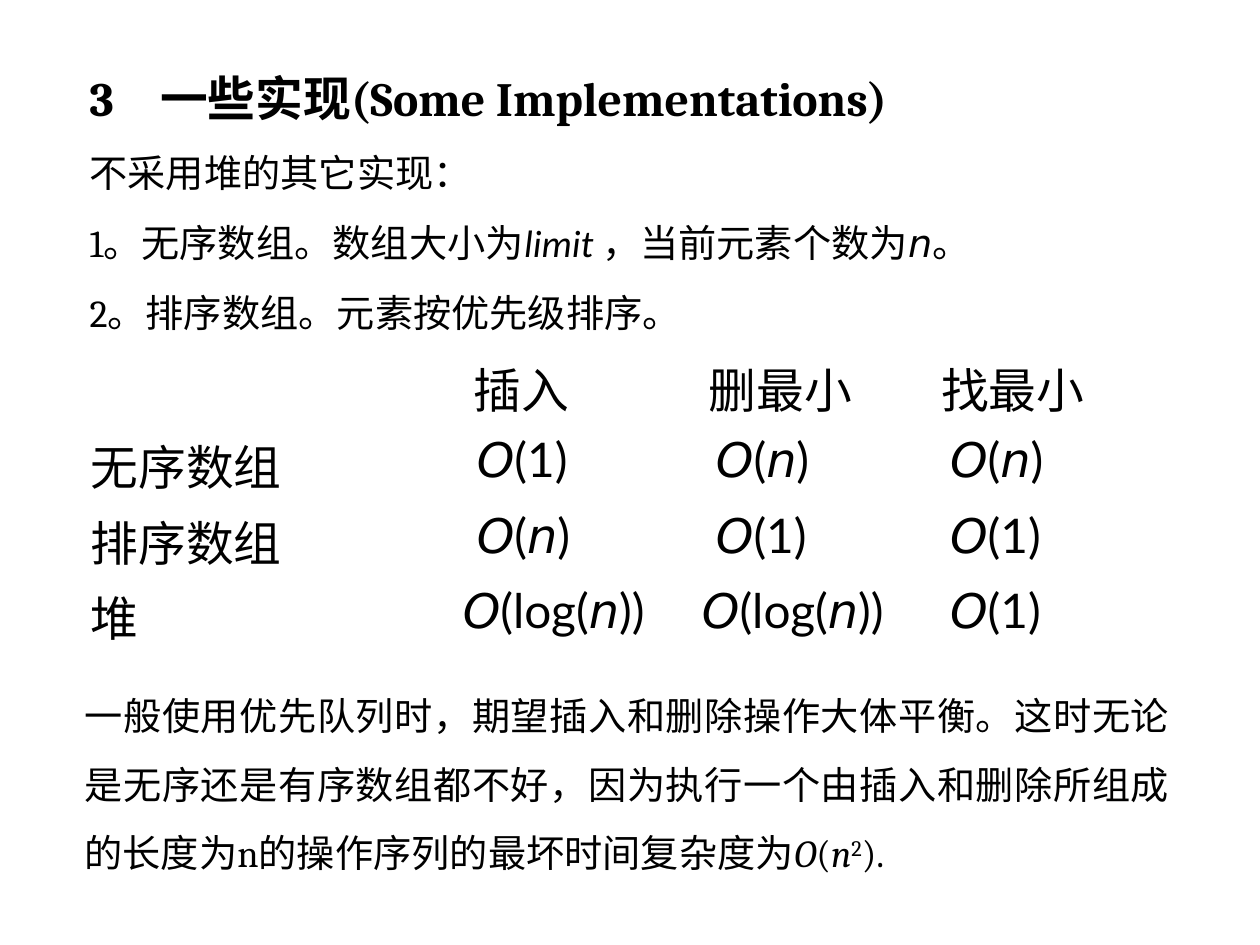
from itertools import groupby

from pptx import Presentation
from pptx.dml.color import RGBColor
from pptx.enum.text import MSO_ANCHOR, MSO_AUTO_SIZE, PP_ALIGN
from pptx.util import Inches, Pt

JUSTIFY, LEFT = PP_ALIGN.JUSTIFY, PP_ALIGN.LEFT
TOP = MSO_ANCHOR.TOP
FIT_SHAPE, NO_FIT = MSO_AUTO_SIZE.SHAPE_TO_FIT_TEXT, MSO_AUTO_SIZE.NONE
SLIDE_SIZE = Inches(14.66), Inches(11)
PX = 10645  # EMU per px
COLORS = {"text": "000000"}
SERIF, SANS, SYMBOL, NUMERAL = "Cambria", "Calibri", "DejaVu Sans", "Lato"

# Run attributes by style: raised text, and a widened gap after the number
STYLES = {"sup": ("baseline", "30000"), "wide": ("spc", "3000")}

# Content: runs are (text, font, style), style "i" italic or a key of STYLES
TITLE = [("3", SERIF, ""), (" ", SERIF, "wide"),
         ("一些实现(Some Implementations)", SERIF, "")]
INTRO = [
    [("不采用堆的其它实现：", SERIF, "")],
    [("1。无序数组。数组大小为", SERIF, ""), ("limit ", SANS, "i"),
     ("，当前元素个数为", SERIF, ""), ("n", SYMBOL, "i"), ("。", SERIF, "")],
    [("2。排序数组。元素按优先级排序。", SERIF, "")],
]
HEADERS = ["", "插入", "删最小", "找最小"]
COSTS = [
    ["无序数组", "O(1)", "O(n)", "O(n)"],
    ["排序数组", "O(n)", "O(1)", "O(1)"],
    ["堆", "O(log(n))", "O(log(n))", "O(1)"],
]
CONCLUSION = [
    ("一般使用优先队列时，期望插入和删除操作大体平衡。这时无论是无序还是有序数组都不好，"
     "因为执行一个由插入和删除所组成的长度为n的操作序列的最坏时间复杂度为", SERIF, ""),
    ("O", SERIF, "i"), ("(", SERIF, ""), ("n", SERIF, "i"),
    ("2", SERIF, "sup"), (").", SERIF, ""),
]

# Layout in px
TITLE_BOX = (79, 64, 1131, 65)
INTRO_BOX = (79, 144, 1131, 197)
TABLE_BOX = (79, 343, 1045, 309)
CONCLUSION_BOX = (76, 665, 1102, 215)
COLUMN_WIDTHS = [369, 239, 239, 198]
ROW_HEIGHTS = [79, 76, 75, 79]
HEADER_INDENTS = [3, 17, 13, 6]
COST_INDENTS = [3, 20, 20, 15]
LOG_INDENT = 6
TEXT_INDENT = 2
HEADER_MARGIN, COST_MARGIN = 10, 8


def emu(box):
    return [value * PX for value in box]


def formula_runs(text):
    """Split a cost such as O(n) into italic symbols and upright parts."""
    for is_symbol, letters in groupby(text, lambda letter: letter in "On"):
        yield "".join(letters), SYMBOL if is_symbol else NUMERAL, "i" if is_symbol else ""


def write(paragraph, runs, size, indent=0, align=LEFT, bold=False):
    paragraph.alignment = align
    properties = paragraph._p.get_or_add_pPr()
    properties.set("marL", str(indent * PX))
    properties.set("indent", "0")
    font = paragraph.font
    font.size, font.bold = Pt(size), bold
    font.color.rgb = RGBColor.from_string(COLORS["text"])
    runs = list(runs)
    fonts = {name for _, name, _ in runs}
    if len(fonts) == 1:
        font.name = fonts.pop()
    for text, name, style in runs:
        run = paragraph.add_run()
        run.text = text
        if fonts:
            run.font.name = name
        if style == "i":
            run.font.italic = True
        elif style:
            run._r.get_or_add_rPr().set(*STYLES[style])


def add_text(slide, box):
    frame = slide.shapes.add_textbox(*emu(box)).text_frame
    frame.word_wrap = True
    frame.auto_size = FIT_SHAPE
    return frame


def main():
    presentation = Presentation()
    presentation.slide_width, presentation.slide_height = SLIDE_SIZE
    slide = presentation.slides.add_slide(presentation.slide_layouts[5])

    # Title
    title = slide.shapes.title
    title.left, title.top, title.width, title.height = emu(TITLE_BOX)
    frame = title.text_frame
    frame.vertical_anchor, frame.auto_size = TOP, NO_FIT
    write(frame.paragraphs[0], TITLE, 40, TEXT_INDENT, bold=True)

    # Introduction
    frame = add_text(slide, INTRO_BOX)
    for index, runs in enumerate(INTRO):
        paragraph = frame.add_paragraph() if index else frame.paragraphs[0]
        paragraph.line_spacing = 1.03
        if index:
            paragraph.space_before = Pt(19.2)
        write(paragraph, runs, 32, TEXT_INDENT)

    # Table of costs
    rows = [HEADERS] + COSTS
    table = slide.shapes.add_table(len(rows), len(HEADERS), *emu(TABLE_BOX)).table
    table.first_row = table.horz_banding = False
    for column, width in zip(table.columns, COLUMN_WIDTHS):
        column.width = width * PX
    for row_index, (row, height) in enumerate(zip(rows, ROW_HEIGHTS)):
        table.rows[row_index].height = height * PX
        for column_index, text in enumerate(row):
            cell = table.cell(row_index, column_index)
            cell.fill.background()
            cell.vertical_anchor = TOP
            cell.margin_top = (COST_MARGIN if row_index else HEADER_MARGIN) * PX
            if not text:
                continue
            is_label = row_index == 0 or column_index == 0
            runs = [(text, SERIF, "")] if is_label else formula_runs(text)
            indents = COST_INDENTS if row_index else HEADER_INDENTS
            indent = LOG_INDENT if "log" in text else indents[column_index]
            write(cell.text_frame.paragraphs[0], runs, 40, indent)

    # Conclusion
    paragraph = add_text(slide, CONCLUSION_BOX).paragraphs[0]
    paragraph.line_spacing = 1.5
    write(paragraph, CONCLUSION, 32, align=JUSTIFY)

    presentation.save("out.pptx")


if __name__ == "__main__":
    main()
